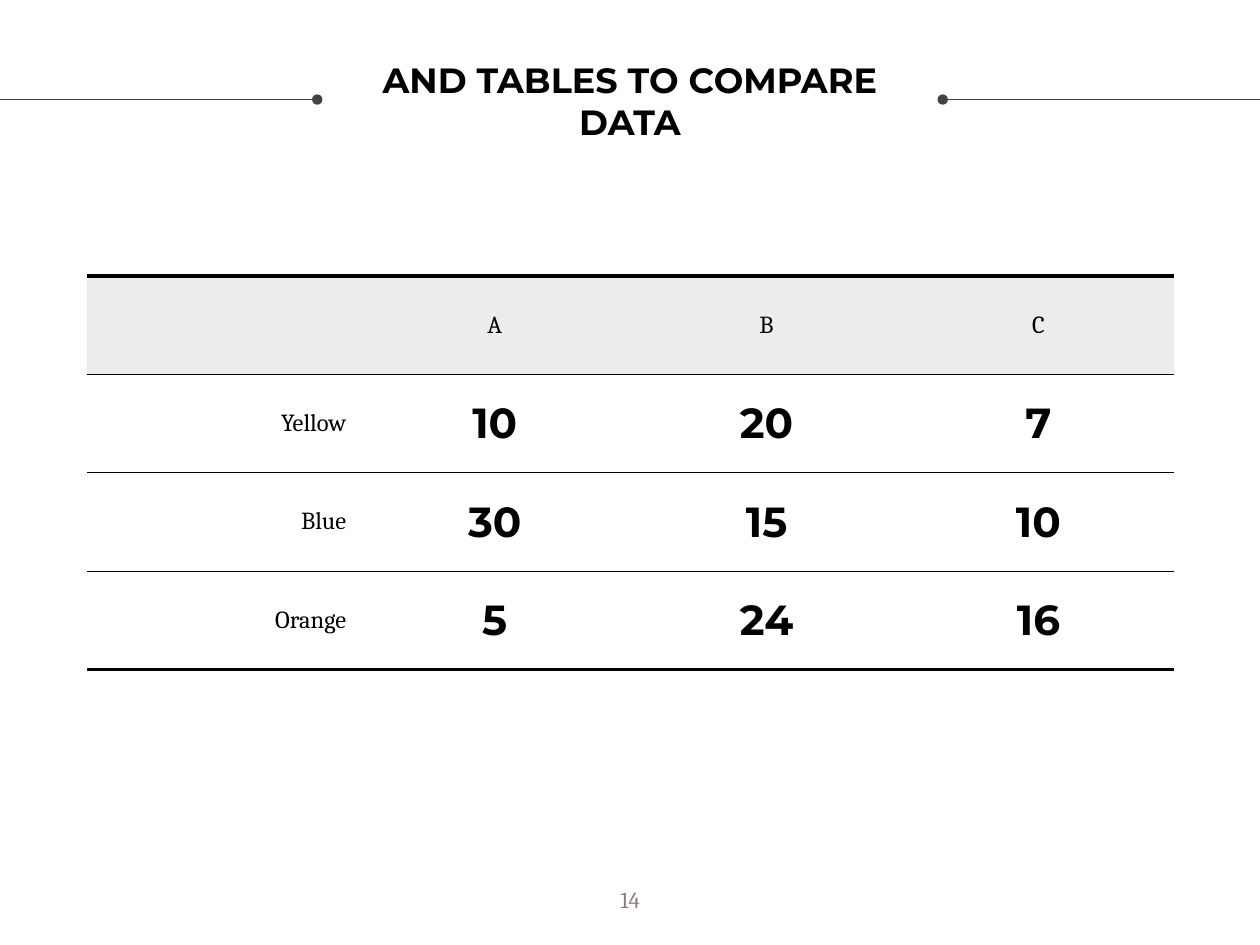
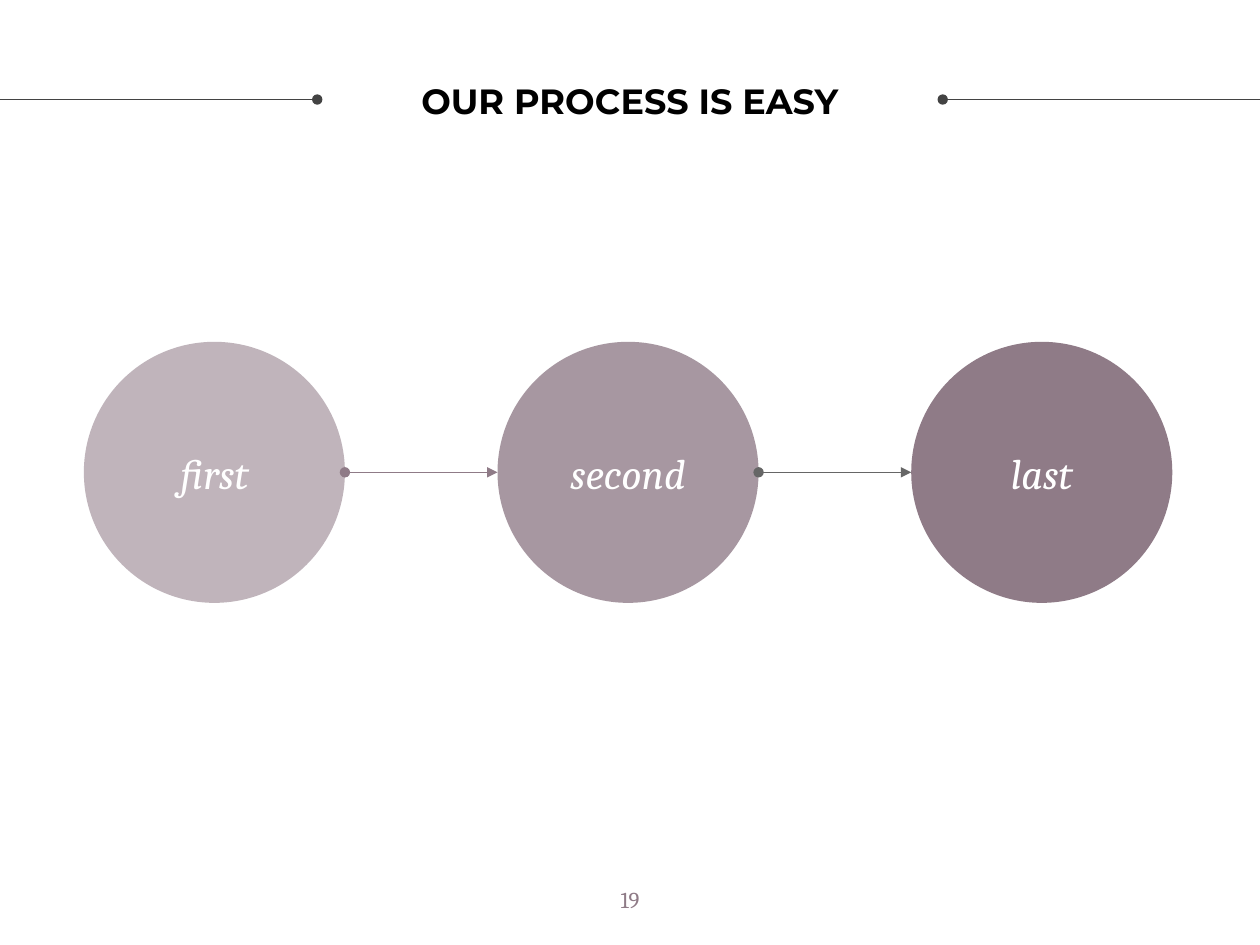
from lxml import etree
from pptx import Presentation
from pptx.dml.color import RGBColor
from pptx.enum.shapes import MSO_CONNECTOR, MSO_SHAPE
from pptx.enum.text import MSO_ANCHOR, PP_ALIGN
from pptx.oxml.ns import qn
from pptx.util import Pt

STRAIGHT = MSO_CONNECTOR.STRAIGHT
OVAL = MSO_SHAPE.OVAL
MIDDLE, TOP = MSO_ANCHOR.MIDDLE, MSO_ANCHOR.TOP
CENTER, RIGHT = PP_ALIGN.CENTER, PP_ALIGN.RIGHT

COLORS = {
    "ink": "000000",
    "mauve": "8F7B87",
    "rule": "434343",
    "arrow": "666666",
    "white": "FFFFFF",
}
HEADING, BODY = "Montserrat", "Cambria"
TITLE = {"name": HEADING, "size": Pt(20), "bold": True, "color": "ink"}
LABEL = {"name": BODY, "size": Pt(14), "bold": False, "color": "ink"}
NUMBER = {"name": HEADING, "size": Pt(24), "bold": True, "color": "ink"}
STEP = {"name": BODY, "size": Pt(24), "italic": True, "color": "white"}
PAGE_NUMBER = {"name": BODY, "size": Pt(13), "color": "mauve"}

PAGE_WIDTH, PAGE_HEIGHT = 720, 540
INSET = Pt(7.2)
THIN, THICK = 0.75, 2.25
RULE_TOP, RULE_LENGTH = 56.88, 181.3

TABLE_LEFT, TABLE_TOP = 49.68, 157.68
COLUMN_WIDTH, ROW_HEIGHT = 155.34, 56.25
TABLE_ROWS = [
    ("", "A", "B", "C"),
    ("Yellow", "10", "20", "7"),
    ("Blue", "30", "15", "10"),
    ("Orange", "5", "24", "16"),
]

CIRCLE_LEFT, CIRCLE_TOP = 47.9, 195.3
CIRCLE_SIZE, CIRCLE_PITCH = 149.2, 236.4
STEPS = [("first", 56), ("second", 78), ("last", 100)]
ARROW_COLORS = ["mauve", "arrow"]


def rgb(name):
    """Return the named colour."""
    return RGBColor.from_string(COLORS[name])


def write(frame, text, style, align=CENTER):
    """Write one styled paragraph into a text frame."""
    para = frame.paragraphs[0]
    para.alignment = align
    span = para.add_run()
    span.text = text
    for key, value in style.items():
        if key == "color":
            span.font.color.rgb = rgb(value)
        else:
            setattr(span.font, key, value)


def set_frame(frame, anchor, wrap=True):
    """Set the insets, anchor and wrapping of a text frame."""
    settings = {"vertical_anchor": anchor, "word_wrap": wrap}
    for side in ("left", "top", "right", "bottom"):
        settings["margin_" + side] = INSET
    for key, value in settings.items():
        setattr(frame, key, value)


def add_text(page, bounds, text, style, anchor, wrap=True):
    """Add a centred text box."""
    box = page.shapes.add_textbox(*map(Pt, bounds))
    set_frame(box.text_frame, anchor, wrap)
    write(box.text_frame, text, style)


def fill_solid(fill, element, color, opacity=100):
    """Fill with a colour at an opacity in percent."""
    fill.solid()
    fill.fore_color.rgb = rgb(color)
    if opacity < 100:
        tint = next(element.iter(qn("a:srgbClr")))
        etree.SubElement(tint, qn("a:alpha"), val=str(opacity * 1000))


def add_line(page, start, end, color, **ends):
    """Add a thin line with the given head and tail ends."""
    line = page.shapes.add_connector(STRAIGHT, *map(Pt, start + end))
    line.line.color.rgb = rgb(color)
    line.line.width = Pt(THIN)
    outline = next(line._element.iter(qn("a:ln")))
    for tag, kind in ends.items():
        etree.SubElement(outline, qn("a:" + tag), type=kind)
    etree.SubElement(outline.getparent(), qn("a:effectLst"))


def set_borders(cell, top, bottom):
    """Draw the top and bottom borders of a cell and clear its sides."""
    properties = cell._tc.get_or_add_tcPr()
    widths = {"lnL": 0, "lnR": 0, "lnT": top, "lnB": bottom}
    for position, (tag, width) in enumerate(widths.items()):
        border = etree.Element(qn("a:" + tag), w=str(int(Pt(width))))
        if width:
            paint = etree.SubElement(border, qn("a:solidFill"))
            etree.SubElement(paint, qn("a:srgbClr"), val=COLORS["ink"])
        else:
            etree.SubElement(border, qn("a:noFill"))
        properties.insert(position, border)


def fill_cell(cell, text, row, column):
    """Format one table cell by its place in the grid."""
    for side in ("left", "top", "right", "bottom"):
        setattr(cell, "margin_" + side, INSET)
    cell.vertical_anchor = MIDDLE
    if row == 0:
        fill_solid(cell.fill, cell._tc, "mauve", 15)
    else:
        cell.fill.background()
    last = len(TABLE_ROWS) - 1
    set_borders(cell, THICK if row == 0 else THIN, THICK if row == last else THIN)
    if text:
        style = NUMBER if row and column else LABEL
        write(cell.text_frame, text, style, CENTER if column else RIGHT)


def add_data_table(page):
    """Add the comparison table."""
    rows, columns = len(TABLE_ROWS), len(TABLE_ROWS[0])
    bounds = (TABLE_LEFT, TABLE_TOP, columns * COLUMN_WIDTH, rows * ROW_HEIGHT)
    table = page.shapes.add_table(rows, columns, *map(Pt, bounds)).table
    table.first_row = table.horz_banding = False
    for row, texts in enumerate(TABLE_ROWS):
        for column, text in enumerate(texts):
            fill_cell(table.cell(row, column), text, row, column)


def add_circle(page, left, text, opacity):
    """Add one process step."""
    circle = page.shapes.add_shape(
        OVAL, Pt(left), Pt(CIRCLE_TOP), Pt(CIRCLE_SIZE), Pt(CIRCLE_SIZE)
    )
    circle.shadow.inherit = False
    fill_solid(circle.fill, circle._element, "mauve", opacity)
    circle.line.fill.background()
    set_frame(circle.text_frame, MIDDLE)
    write(circle.text_frame, text, STEP)


def add_process(page):
    """Add the row of steps and the arrows between them."""
    lefts = [CIRCLE_LEFT + index * CIRCLE_PITCH for index in range(len(STEPS))]
    for left, (text, opacity) in zip(lefts, STEPS):
        add_circle(page, left, text, opacity)
    middle = CIRCLE_TOP + CIRCLE_SIZE / 2
    for left, following, color in zip(lefts, lefts[1:], ARROW_COLORS):
        start, end = (left + CIRCLE_SIZE, middle), (following, middle)
        add_line(page, start, end, color, headEnd="oval", tailEnd="triangle")


def add_page(deck, title, number):
    """Add a page with its title, side rules and page number."""
    page = deck.slides.add_slide(deck.slide_layouts[6])
    for inner, edge in ((RULE_LENGTH, 0), (PAGE_WIDTH - RULE_LENGTH, PAGE_WIDTH)):
        add_line(page, (inner, RULE_TOP), (edge, RULE_TOP), "rule", headEnd="oval")
    add_text(page, (206.64, 12.24, 306.72, 90), title, TITLE, MIDDLE)
    add_text(page, (345.25, 499, 29.5, 31.7), str(number), PAGE_NUMBER, TOP, False)
    return page


def main():
    """Build and save the deck."""
    deck = Presentation()
    deck.slide_width, deck.slide_height = Pt(PAGE_WIDTH), Pt(PAGE_HEIGHT)
    add_data_table(add_page(deck, "AND TABLES TO COMPARE DATA", 14))
    add_process(add_page(deck, "OUR PROCESS IS EASY", 19))
    deck.save("out.pptx")


if __name__ == "__main__":
    main()
